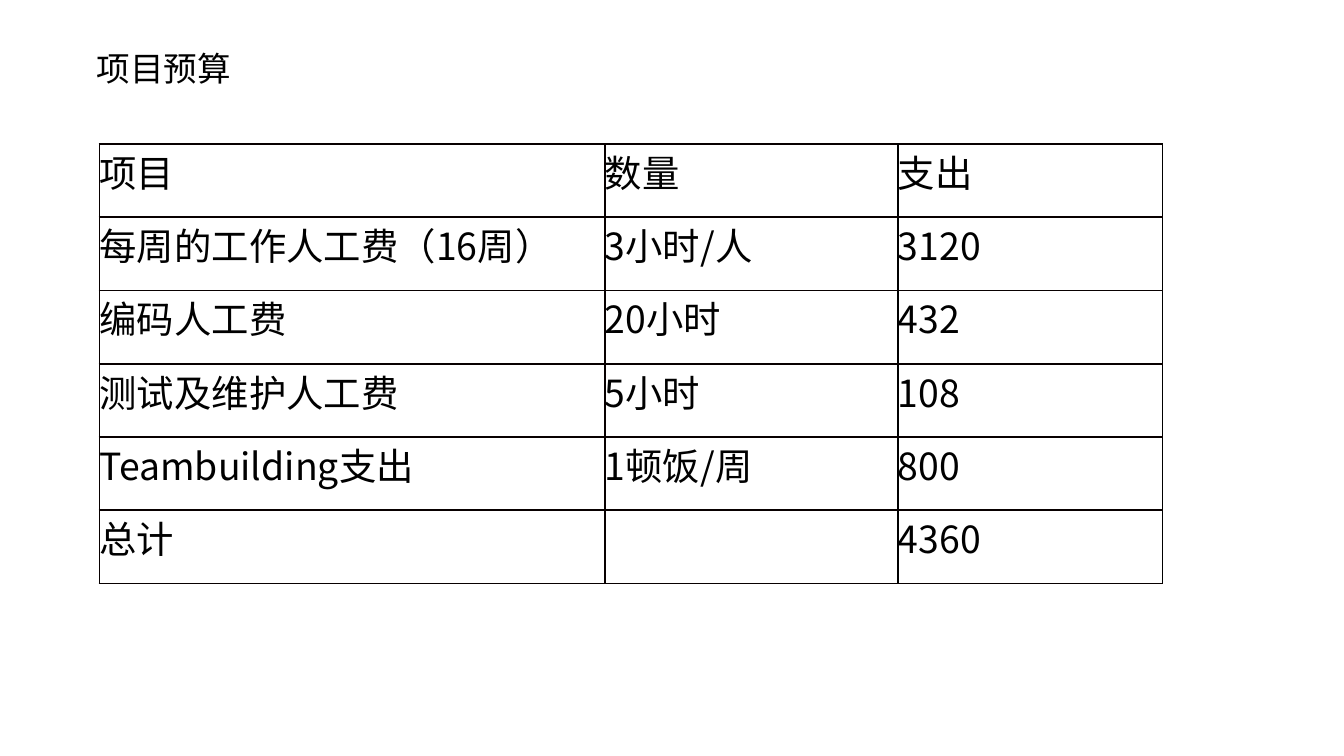
from lxml import etree
from pptx import Presentation
from pptx.dml.color import RGBColor
from pptx.enum.text import MSO_AUTO_SIZE
from pptx.oxml.ns import qn
from pptx.util import Cm, Pt

FIT_SHAPE = MSO_AUTO_SIZE.SHAPE_TO_FIT_TEXT
BLACK = RGBColor(0x00, 0x00, 0x00)
BORDER = RGBColor(0x08, 0x00, 0x00)
TITLE_FONT = "Calibri"
TABLE_FONT = "Noto Sans CJK SC"

BUDGET = [
    ("项目", "数量", "支出"),
    ("每周的工作人工费（16周）", "3小时/人", "3120"),
    ("编码人工费", "20小时", "432"),
    ("测试及维护人工费", "5小时", "108"),
    ("Teambuilding支出", "1顿饭/周", "800"),
    ("总计", "", "4360"),
]
COLUMN_WIDTHS = [Cm(9.55), Cm(5.54), Cm(5)]
ROW_HEIGHT = Cm(1.385)


def add_span(para, text, font_name, size):
    span = para.add_run()
    span.text = text
    span.font.name = font_name
    span.font.size = Pt(size)
    span.font.color.rgb = BLACK
    east_asian = etree.SubElement(span.font._element, qn("a:ea"))
    east_asian.set("typeface", TABLE_FONT)


def add_border(cell, position, side, color, width):
    line = etree.Element(qn("a:ln" + side), w=str(Pt(width)))
    fill = etree.SubElement(line, qn("a:solidFill"))
    etree.SubElement(fill, qn("a:srgbClr"), val=str(color))
    cell._tc.get_or_add_tcPr().insert(position, line)


deck = Presentation()
deck.slide_width = Cm(25.4)
deck.slide_height = Cm(14.29)
page = deck.slides.add_slide(deck.slide_layouts[6])

# Title
title_box = page.shapes.add_textbox(Cm(1.58), Cm(0.79), Cm(4.45), Cm(1.02))
title_box.text_frame.word_wrap = True
title_box.text_frame.auto_size = FIT_SHAPE
add_span(title_box.text_frame.paragraphs[0], "项目预算", TITLE_FONT, 18)

# Budget table
frame = page.shapes.add_table(
    len(BUDGET), len(COLUMN_WIDTHS), Cm(1.88), Cm(2.72),
    sum(COLUMN_WIDTHS), ROW_HEIGHT * len(BUDGET))
table = frame.table
table.first_row = False
table.horz_banding = False
for column, width in zip(table.columns, COLUMN_WIDTHS):
    column.width = width
for row in table.rows:
    row.height = ROW_HEIGHT

for row_index, entries in enumerate(BUDGET):
    for column_index, entry in enumerate(entries):
        cell = table.cell(row_index, column_index)
        cell.fill.background()
        cell.margin_left = cell.margin_right = 0
        cell.margin_top = cell.margin_bottom = 0
        if entry:
            add_span(cell.text_frame.paragraphs[0], entry, TABLE_FONT, 20)

        # The edges around the last column are thinner
        thin, thick = (BLACK, 0.75), (BORDER, 1)
        left = thin if column_index == 2 else thick
        right = thin if column_index > 0 else thick
        edges = [("L", left), ("R", right), ("T", thick), ("B", thick)]
        for position, (side, (color, width)) in enumerate(edges):
            add_border(cell, position, side, color, width)

deck.save("out.pptx")
